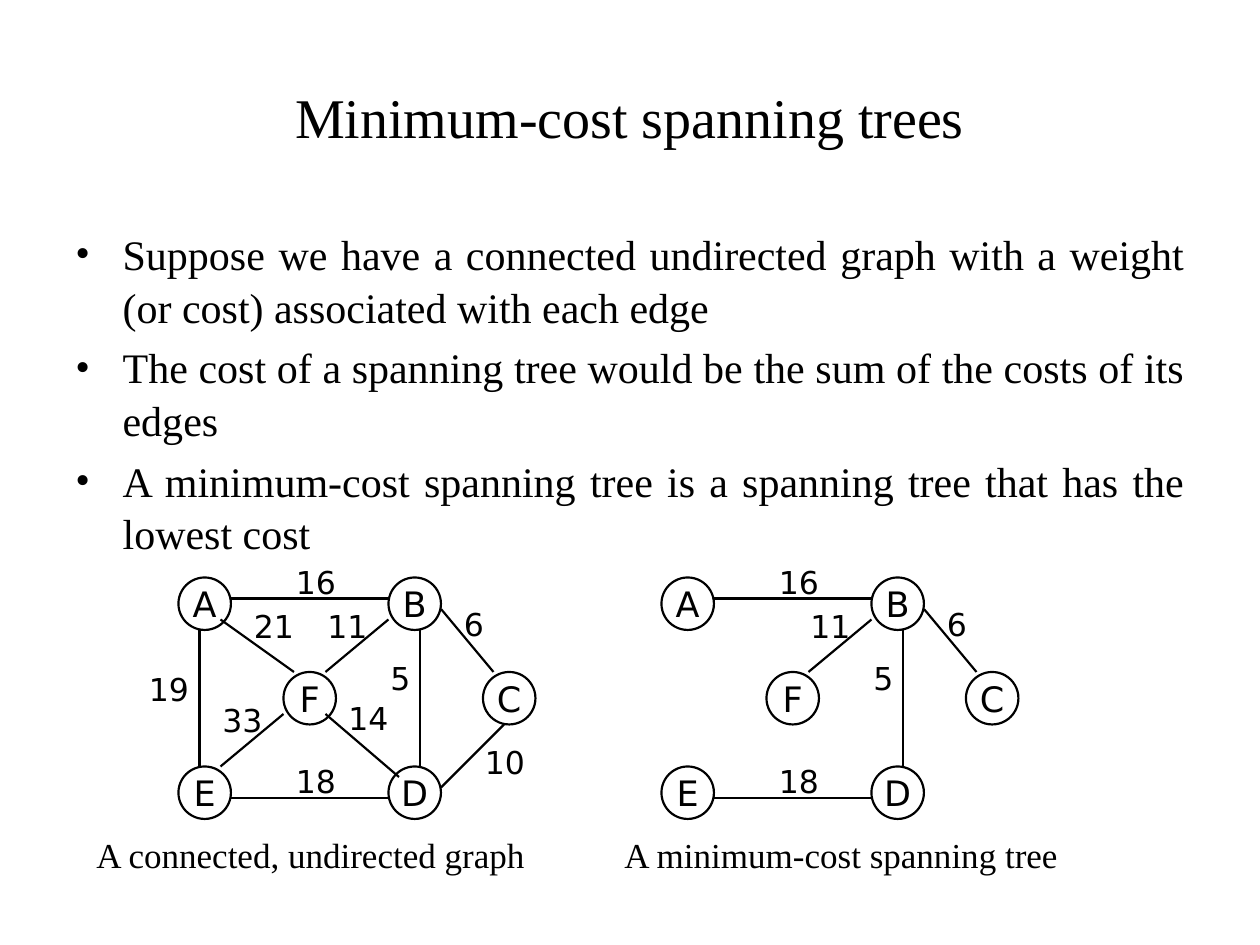
from lxml.etree import SubElement
from pptx import Presentation
from pptx.dml.color import RGBColor
from pptx.enum.shapes import MSO_CONNECTOR, MSO_SHAPE
from pptx.enum.text import MSO_ANCHOR, PP_ALIGN
from pptx.oxml.ns import qn
from pptx.util import Emu, Pt

EMU_PER_PX = 7620  # 120 px to the inch
BLACK = "000000"
SERIF, SANS = "Times New Roman", "DejaVu Sans"
NODE_SIZE = 50
LABEL_SIZE = (70, 48)
TREE_SHIFT = 460

BULLETS = [
    "Suppose we have a connected undirected graph with a weight (or cost) associated with each edge",
    "The cost of a spanning tree would be the sum of the costs of its edges",
    "A minimum-cost spanning tree is a spanning tree that has the lowest cost",
]
NODES = {"A": (170, 550), "B": (370, 550), "E": (170, 730),
         "D": (370, 730), "F": (270, 640), "C": (460, 640)}
# edge: (cost, line start, line end, label corner)
EDGES = {
    "AB": ("16", (220, 570), (370, 570), (270, 530)),
    "AE": ("19", (190, 600), (190, 730), (130, 632)),
    "AF": ("21", (210, 590), (280, 640), (230, 572)),
    "BF": ("11", (370, 590), (310, 640), (300, 572)),
    "EF": ("33", (210, 730), (270, 680), (200, 662)),
    "DF": ("14", (380, 740), (310, 680), (320, 660)),
    "ED": ("18", (220, 760), (370, 760), (270, 720)),
    "DC": ("10", (420, 750), (480, 690), (450, 702)),
    "BC": ("6", (420, 580), (470, 640), (430, 570)),
    "BD": ("5", (400, 600), (400, 730), (360, 622)),
}
TREE_EDGES = ["AB", "BF", "ED", "BC", "BD"]


def px(*lengths):
    return [Emu(length * EMU_PER_PX) for length in lengths]


def color(hex_text):
    return RGBColor.from_string(hex_text)


def set_all(target, values):
    for name, value in values.items():
        setattr(target, name, value)


def style_line(line):
    line.color.rgb = color(BLACK)
    line.width = Pt(1.25)


def write(para, text, font, size, align=PP_ALIGN.LEFT):
    para.alignment = align
    span = para.add_run()
    span.text = text
    set_all(span.font, {"name": font, "size": Pt(size)})
    span.font.color.rgb = color(BLACK)


def add_text(shapes, bounds, text, font, size, align=PP_ALIGN.LEFT,
             anchor=MSO_ANCHOR.TOP, wrap=True):
    frame = shapes.add_textbox(*px(*bounds)).text_frame
    set_all(frame, {"word_wrap": wrap, "vertical_anchor": anchor})
    write(frame.paragraphs[0], text, font, size, align)


def add_bullets(shapes, bounds, texts):
    frame = shapes.add_textbox(*px(*bounds)).text_frame
    frame.word_wrap = True
    for index, text in enumerate(texts):
        para = frame.add_paragraph() if index else frame.paragraphs[0]
        para.line_spacing = 1.04
        if index:
            para.space_before = Pt(4.8)
        (indent,) = px(45)
        properties = para._p.get_or_add_pPr()
        properties.set("marL", str(indent))
        properties.set("indent", str(-indent))
        SubElement(properties, qn("a:buFont"), typeface=SERIF)
        SubElement(properties, qn("a:buChar"), char="•")
        write(para, text, SERIF, 24, PP_ALIGN.JUSTIFY)


def add_node(shapes, name, left, top):
    node = shapes.add_shape(MSO_SHAPE.OVAL, *px(left, top, NODE_SIZE, NODE_SIZE))
    node.shadow.inherit = False
    node.fill.background()
    style_line(node.line)
    frame = node.text_frame
    set_all(frame, {"word_wrap": False, "vertical_anchor": MSO_ANCHOR.MIDDLE})
    write(frame.paragraphs[0], name, SANS, 20, PP_ALIGN.CENTER)


def add_edge(shapes, start, end):
    edge = shapes.add_connector(MSO_CONNECTOR.STRAIGHT, *px(*start, *end))
    style_line(edge.line)
    SubElement(edge._element.spPr, qn("a:effectLst"))


def add_graph(page, edge_names, shift, caption, caption_bounds, caption_wrap):
    """Draw all nodes, the named edges with their costs, and a caption as one group."""
    shapes = page.shapes.add_group_shape().shapes

    def moved(point):
        return point[0] + shift, point[1]

    for name, corner in NODES.items():
        add_node(shapes, name, *moved(corner))
    for edge_name in edge_names:
        cost, start, end, corner = EDGES[edge_name]
        add_edge(shapes, moved(start), moved(end))
        add_text(shapes, (*moved(corner), *LABEL_SIZE), cost, SANS, 18)
    add_text(shapes, caption_bounds, caption, SERIF, 20, wrap=caption_wrap)


def main():
    deck = Presentation()
    deck.slide_width, deck.slide_height = px(1200, 900)
    page = deck.slides.add_slide(deck.slide_layouts[6])
    page.background.fill.solid()
    page.background.fill.fore_color.rgb = color("FFFFFF")

    add_text(page.shapes, (60, 36, 1080, 150), "Minimum-cost spanning trees",
             SERIF, 32, PP_ALIGN.CENTER, MSO_ANCHOR.MIDDLE)
    add_bullets(page.shapes, (60, 210, 1080, 330), BULLETS)
    add_graph(page, EDGES, 0, "A connected, undirected graph",
              (80, 788, 450, 52), True)
    add_graph(page, TREE_EDGES, TREE_SHIFT, "A minimum-cost spanning tree",
              (583, 788, 437, 52), False)
    deck.save("out.pptx")


if __name__ == "__main__":
    main()
